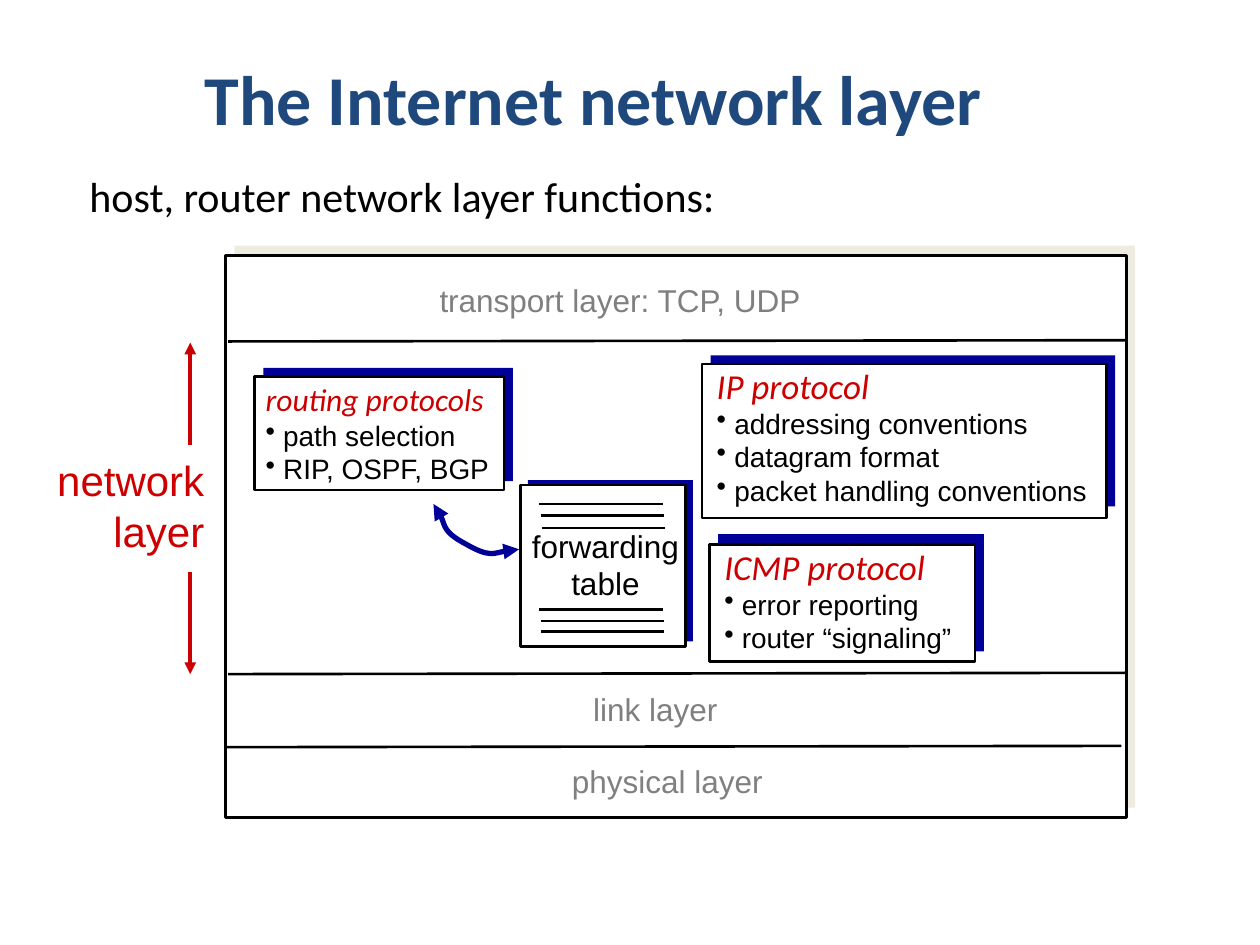
from pptx import Presentation
from pptx.dml.color import RGBColor
from pptx.enum.shapes import MSO_CONNECTOR, MSO_SHAPE
from pptx.enum.text import MSO_ANCHOR, MSO_AUTO_SIZE, PP_ALIGN
from pptx.oxml.ns import qn
from pptx.util import Inches, Pt
from lxml.etree import SubElement

BLACK, WHITE, NAVY, RED, GRAY = "000000", "FFFFFF", "000099", "CC0000", "7F7F7F"
BEIGE, TITLE_BLUE = "EEECE1", "1F497D"


def rgb(hex_colour):
    return RGBColor.from_string(hex_colour)


def add_run(p, text, size, colour, font="Arial", italic=False):
    r = p.add_run()
    r.text = text
    r.font.name, r.font.size, r.font.italic = font, Pt(size), italic
    r.font.color.rgb = rgb(colour)
    return r


prs = Presentation()
prs.slide_width, prs.slide_height = Inches(10), Inches(7.5)
s = prs.slides.add_slide(prs.slide_layouts[1])

# Title and lead sentence
title, body = s.placeholders
title.left, title.top, title.width, title.height = map(Inches, (0.46, 0.15, 8.5, 1.25))
title.text_frame.vertical_anchor = MSO_ANCHOR.MIDDLE
p = title.text_frame.paragraphs[0]
p.alignment = PP_ALIGN.CENTER
add_run(p, "The Internet network layer", 40, TITLE_BLUE, "Calibri").font.bold = True

body.left, body.top, body.width, body.height = map(Inches, (0.61, 1.3, 8.24, 0.48))
p = body.text_frame.paragraphs[0]
pPr = p._p.get_or_add_pPr()
pPr.set("marL", str(Inches(0.38)))
pPr.set("indent", str(Inches(-0.38)))
SubElement(pPr, qn("a:buNone"))
add_run(p, "host, router network layer functions:", 24, BLACK, "Calibri")

# Outlined panels, each over an offset backing: x, y, w, h, offset x, offset y, backing h, colour
panels = [
    (1.79, 2.03, 7.15, 4.46, 0.07, -0.08, 4.46, BEIGE),
    (4.13, 3.85, 1.31, 1.28, 0.06, -0.04, 1.28, NAVY),
    (2.02, 2.99, 1.98, 0.9, 0.07, -0.07, 0.9, NAVY),
    (5.57, 2.89, 3.21, 1.22, 0.07, -0.07, 1.2, NAVY),
    (5.63, 4.32, 2.11, 0.93, 0.07, -0.08, 0.93, NAVY),
]
for x, y, w, h, dx, dy, back_h, colour in panels:
    for box, fill in (((x + dx, y + dy, w, back_h), colour), ((x, y, w, h), WHITE)):
        sp = s.shapes.add_shape(MSO_SHAPE.RECTANGLE, *map(Inches, box))
        sp.shadow.inherit = False
        sp.fill.solid()
        sp.fill.fore_color.rgb = rgb(fill)
        if fill == WHITE:
            sp.line.color.rgb = rgb(BLACK)
            sp.line.width = Pt(1.5)
        else:
            sp.line.fill.background()

# Layer dividers, table rows and the two arrows: x1, y1, x2, y2, colour, width
dividers = [(1.81, 2.71, 8.95, 2.7), (1.81, 5.35, 8.95, 5.34), (1.78, 5.93, 8.9, 5.92)]
rows = [(x, y, x + 0.98, y) for x, y in
        ((4.28, 4), (4.29, 4.09), (4.3, 4.19), (4.28, 4.84), (4.29, 4.93), (4.29, 5.01))]
arrows = [(1.51, 3.53, 1.51, 2.72), (1.51, 4.54, 1.51, 5.35)]
lines = [(ends, BLACK, 1.5) for ends in dividers + rows] + [(ends, RED, 2.25) for ends in arrows]
for ends, colour, width in lines:
    line = s.shapes.add_connector(MSO_CONNECTOR.STRAIGHT, *map(Inches, ends))
    line.line.color.rgb = rgb(colour)
    line.line.width = Pt(width)
    if colour == RED:
        SubElement(line.line._get_or_add_ln(), qn("a:tailEnd"), type="triangle")
    SubElement(line._element.spPr, qn("a:effectLst"))

# Curved double arrow between routing protocols and forwarding table
points = [(3.44, 4), (3.49, 4.03), (3.51, 4.22), (3.7, 4.32),
          (3.89, 4.43), (4.04, 4.36), (4.12, 4.36)]
builder = s.shapes.build_freeform(*points[0], scale=Inches(1) / 1.0)
builder = s.shapes.build_freeform(*(Inches(v) for v in points[0]))
builder.add_line_segments([(Inches(x), Inches(y)) for x, y in points[1:]], close=False)
curve = builder.convert_to_shape()
curve.shadow.inherit = False
curve.fill.background()
curve.line.color.rgb = rgb(NAVY)
curve.line.width = Pt(3)
for end in ("a:headEnd", "a:tailEnd"):
    SubElement(curve.line._get_or_add_ln(), qn(end), type="triangle")
# Every three straight segments become one Bezier segment
segments = list(curve._element.iter(qn("a:lnTo")))
outline = segments[0].getparent()
for i in range(0, len(segments), 3):
    bezier = SubElement(outline, qn("a:cubicBezTo"))
    for segment in segments[i:i + 3]:
        bezier.append(segment[0])
        outline.remove(segment)

# Text: box, alignment, paragraphs of (text, size, colour, font); "•" starts a bullet
L, C, R = PP_ALIGN.LEFT, PP_ALIGN.CENTER, PP_ALIGN.RIGHT
texts = [
    ((3.39, 2.18, 3.1, 0.4), L, [("transport layer: TCP, UDP", 18, GRAY)]),
    ((4.61, 5.43, 1.19, 0.4), L, [("link layer", 18, GRAY)]),
    ((4.44, 6, 1.72, 0.4), L, [("physical layer", 18, "808080")]),
    ((0.35, 3.56, 1.37, 0.9), R, [("network", 24, RED), ("layer", 24, RED)]),
    ((4.12, 4.13, 1.37, 0.7), C, [("forwarding", 18, BLACK), ("table", 18, BLACK)]),
    ((2.01, 2.97, 2.03, 0.94), L, [
        ("routing protocols", 18, RED, "Calibri", True),
        ("• path selection", 16, BLACK), ("• RIP, OSPF, BGP", 16, BLACK)]),
    ((5.59, 2.84, 3.14, 1.24), L, [
        ("IP protocol", 20, RED, "Calibri", True),
        ("• addressing conventions", 16, BLACK), ("• datagram format", 16, BLACK),
        ("• packet handling conventions", 16, BLACK)]),
    ((5.65, 4.28, 2.08, 0.97), L, [
        ("ICMP protocol", 20, RED, "Calibri", True),
        ("• error reporting", 16, BLACK), ("• router “signaling”", 16, BLACK)]),
]
for box, align, paragraphs in texts:
    tf = s.shapes.add_textbox(*map(Inches, box)).text_frame
    tf.word_wrap = False
    tf.auto_size = MSO_AUTO_SIZE.SHAPE_TO_FIT_TEXT
    for i, (text, *style) in enumerate(paragraphs):
        p = tf.add_paragraph() if i else tf.paragraphs[0]
        p.alignment = align
        if text.startswith("•"):
            SubElement(p._p.get_or_add_pPr(), qn("a:buChar"), char="•")
        add_run(p, text.removeprefix("•"), *style)

prs.save("out.pptx")
